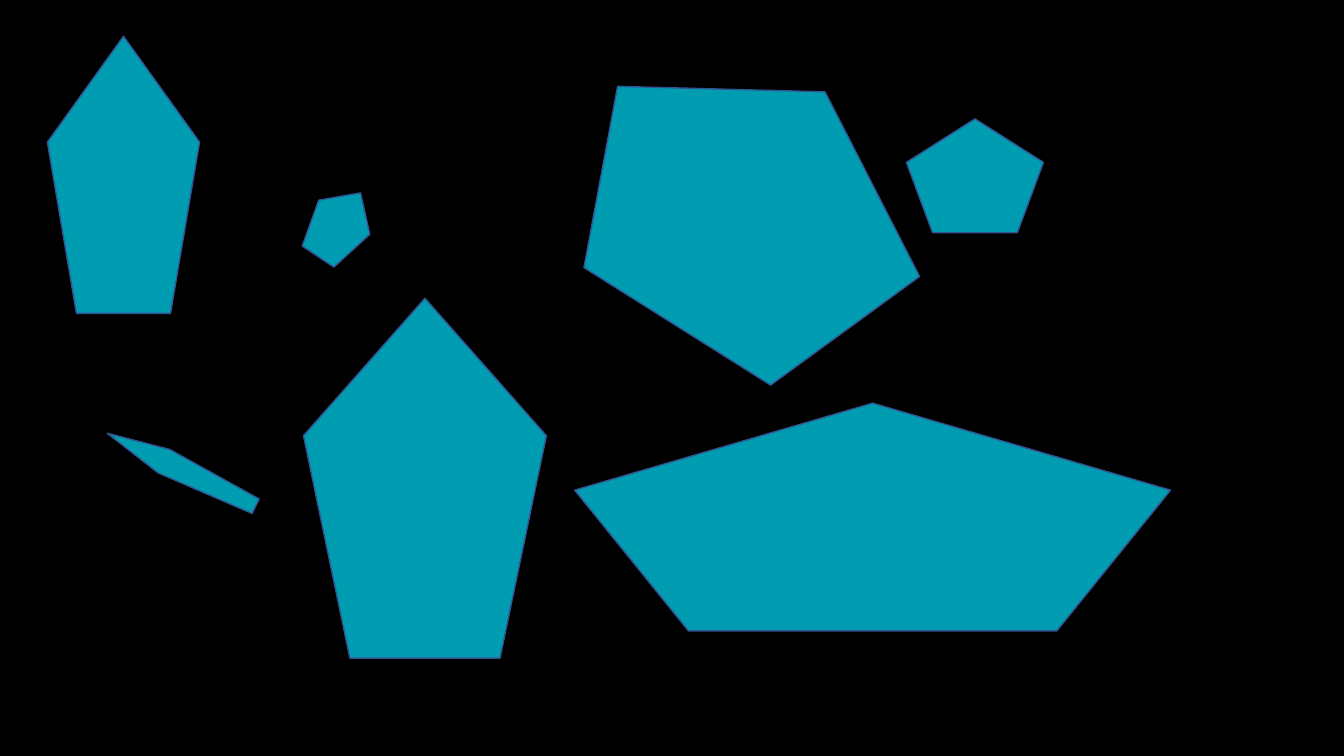
import pptx
import pptx.util
import pptx.dml.color
import pptx.enum.shapes

Inches = pptx.util.Inches
Color = pptx.dml.color.RGBColor

theme = {
    "back": Color.from_string("000000"),
    "fill": Color.from_string("009DB2"),
    "line": Color.from_string("325491"),
    "width": pptx.util.Pt(1),
}

deck = pptx.Presentation()
deck.slide_width = Inches(13.33)
deck.slide_height = Inches(7.5)
slide = deck.slides.add_slide(deck.slide_layouts[6])
slide.background.fill.solid()
slide.background.fill.fore_color.rgb = theme["back"]

pentagons = [
    (0.47, 0.36, 1.51, 2.75, 0),
    (5.68, 0.7, 3.54, 2.75, 32.2),
    (1.67, 3.84, 0.26, 1.64, 296.2),
    (8.99, 1.18, 1.36, 1.13, 0),
    (5.7, 4, 5.91, 2.26, 0),
    (3.06, 1.85, 0.61, 0.76, 33.7),
    (3.01, 2.96, 2.41, 3.57, 0),
]

for left, top, width, height, angle in pentagons:
    shape = slide.shapes.add_shape(
        pptx.enum.shapes.MSO_SHAPE.REGULAR_PENTAGON,
        Inches(left), Inches(top), Inches(width), Inches(height),
    )
    shape.rotation = angle
    shape.shadow.inherit = False
    shape.fill.solid()
    shape.fill.fore_color.rgb = theme["fill"]
    shape.line.color.rgb = theme["line"]
    shape.line.width = theme["width"]

deck.save("out.pptx")
